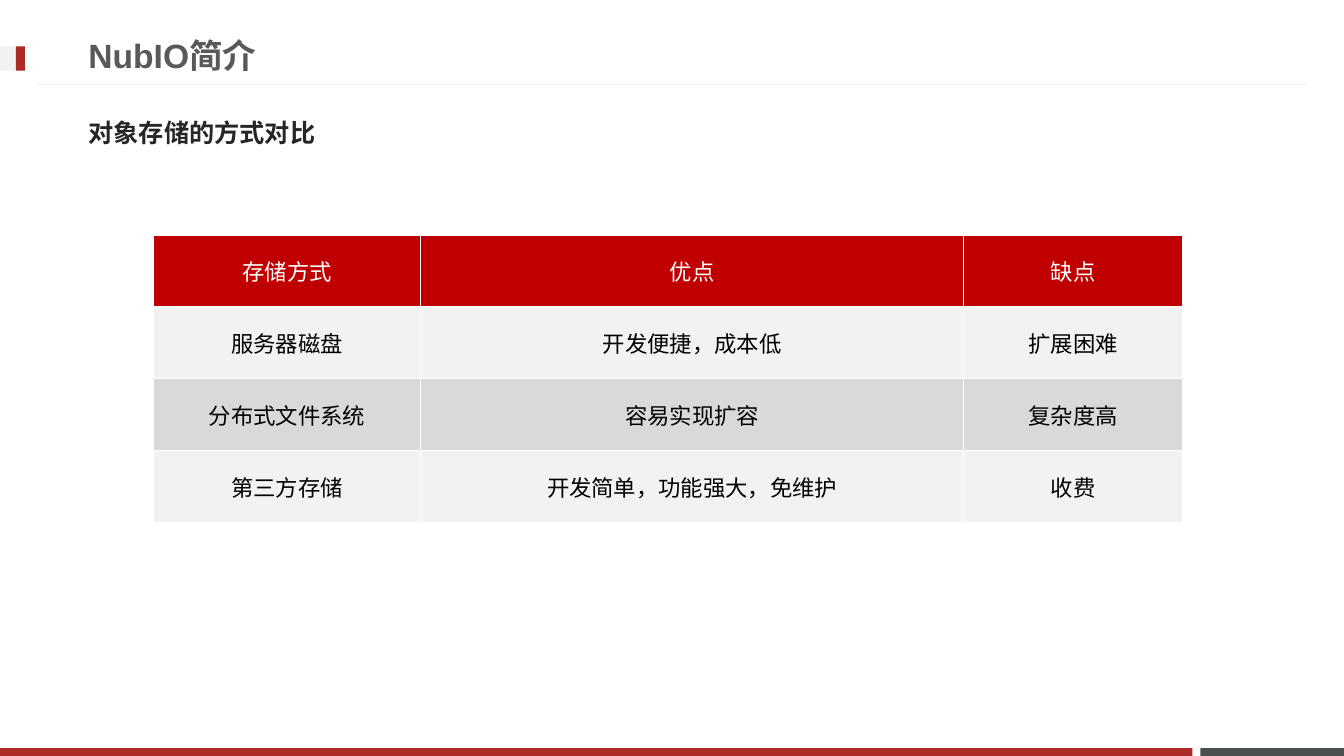
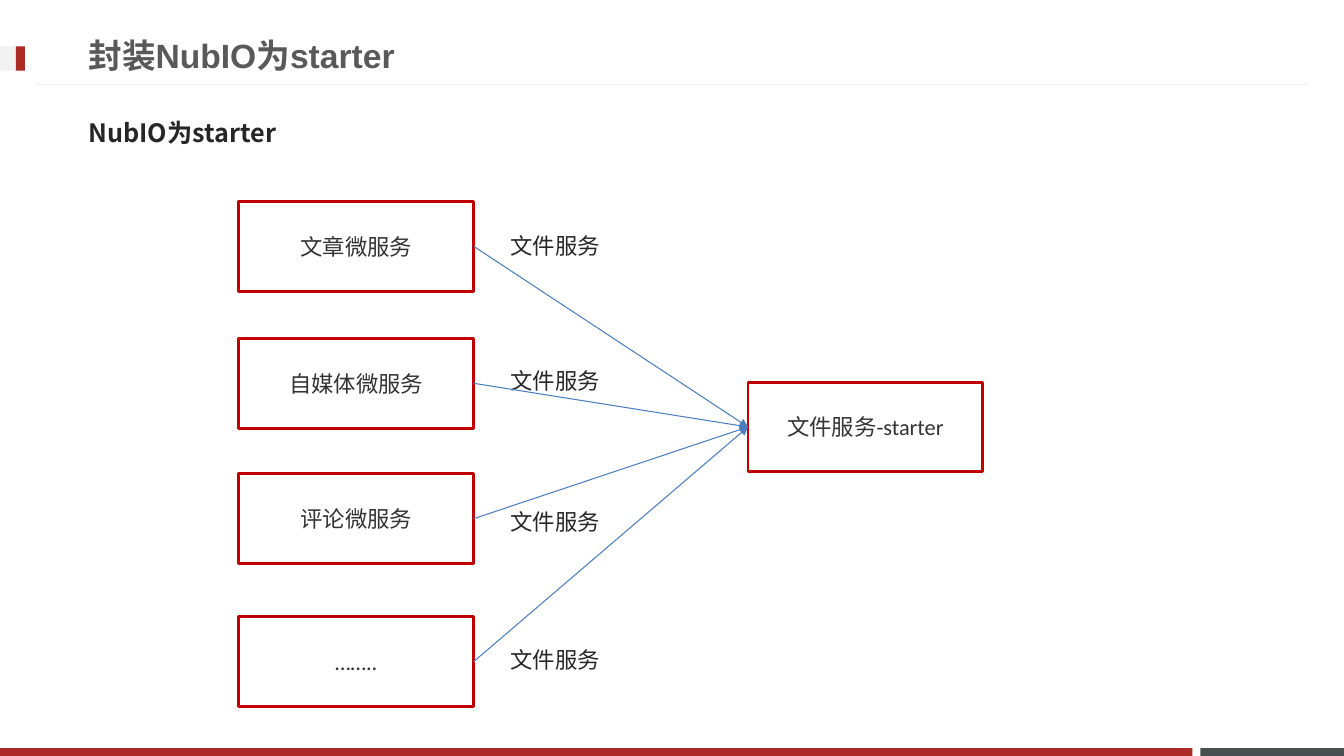
from lxml.etree import SubElement
from pptx import Presentation
from pptx.dml.color import RGBColor
from pptx.enum.lang import MSO_LANGUAGE_ID
from pptx.enum.shapes import MSO_CONNECTOR, MSO_SHAPE
from pptx.enum.text import MSO_ANCHOR, PP_ALIGN
from pptx.oxml.ns import qn
from pptx.util import Cm, Pt

WHITE, BLACK = "FFFFFF", "000000"
PALE, GREY, SLATE = "F2F2F2", "D9D9D9", "49504F"
BRICK, RED, BLUE = "AD2B26", "C00000", "4B7EBC"
TITLE_INK, BODY_INK, BOX_INK = "595959", "262626", "333333"
HAN_FONT = "Noto Sans CJK JP"
LEFT, RIGHT_SITE, LEFT_SITE = 1.98, 3, 1


def colour(hex_code):
    """Turn a hex string into a colour."""
    return RGBColor.from_string(hex_code)


def lengths(*values):
    """Turn numbers into centimetre lengths."""
    return [Cm(value) for value in values]


def add_run(paragraph, text, size, font, ink, bold=False):
    """Add one run, with the Han font for its Chinese characters."""
    run = paragraph.add_run()
    run.text = text
    run.font.size = Pt(size)
    run.font.name = font
    run.font.bold = bold
    run.font.color.rgb = colour(ink)
    run.font.language_id = MSO_LANGUAGE_ID.SIMPLIFIED_CHINESE
    SubElement(run.font._element, qn("a:ea"), typeface=HAN_FONT)


def add_text(slide, text, area, size, font, ink, bold=False,
             anchor=MSO_ANCHOR.MIDDLE, before=0, spacing=1.0):
    """Add a wrapping text box with one paragraph."""
    frame = slide.shapes.add_textbox(*lengths(*area)).text_frame
    frame.word_wrap = True
    frame.vertical_anchor = anchor
    paragraph = frame.paragraphs[0]
    paragraph.space_before = Pt(before)
    paragraph.line_spacing = spacing
    add_run(paragraph, text, size, font, ink, bold)


def add_block(slide, area, fill):
    """Add a plain filled rectangle."""
    block = slide.shapes.add_shape(MSO_SHAPE.RECTANGLE, *lengths(*area))
    block.shadow.inherit = False
    block.fill.solid()
    block.fill.fore_color.rgb = colour(fill)
    block.line.fill.background()


def add_service(slide, text, left, top):
    """Add an outlined service box and return it."""
    service = slide.shapes.add_shape(
        MSO_SHAPE.RECTANGLE, *lengths(left, top, 5.92, 2.26))
    service.shadow.inherit = False
    service.fill.background()
    service.line.color.rgb = colour(RED)
    service.line.width = Pt(2)
    service.text_frame.word_wrap = True
    service.text_frame.vertical_anchor = MSO_ANCHOR.MIDDLE
    paragraph = service.text_frame.paragraphs[0]
    paragraph.alignment = PP_ALIGN.CENTER
    add_run(paragraph, text, 16, "Calibri", BOX_INK)
    return service


def add_line(slide, ends, ink):
    """Add a thin straight line and return it."""
    line = slide.shapes.add_connector(MSO_CONNECTOR.STRAIGHT, *lengths(*ends))
    line.line.color.rgb = colour(ink)
    line.line.width = Pt(0.75)
    SubElement(line._element.spPr, qn("a:effectLst"))
    return line


def add_arrow(slide, source, target):
    """Join the right side of one box to the left side of another."""
    arrow = add_line(slide, (0, 0, 1, 1), BLUE)
    arrow.begin_connect(source, RIGHT_SITE)
    arrow.end_connect(target, LEFT_SITE)
    SubElement(arrow.line._get_or_add_ln(), qn("a:tailEnd"), type="triangle")


def style_cell(cell, text, fill, ink):
    """Fill, border and write one table cell."""
    properties = cell._tc.get_or_add_tcPr()
    for side in ("lnL", "lnR", "lnT", "lnB"):
        border = SubElement(properties, qn(f"a:{side}"), w=str(Pt(1)))
        paint = SubElement(border, qn("a:solidFill"))
        SubElement(paint, qn("a:srgbClr"), val=WHITE)
    cell.fill.solid()
    cell.fill.fore_color.rgb = colour(fill)
    cell.margin_left = cell.margin_right = 0
    cell.margin_top = cell.margin_bottom = 0
    cell.vertical_anchor = MSO_ANCHOR.MIDDLE
    paragraph = cell.text_frame.paragraphs[0]
    paragraph.alignment = PP_ALIGN.CENTER
    add_run(paragraph, text, 16, "Calibri", ink)


def add_comparison(slide, rows, left, top, widths, row_height):
    """Add a table with a red header and alternating grey rows."""
    table = slide.shapes.add_table(
        len(rows), len(widths),
        *lengths(left, top, sum(widths), row_height * len(rows))).table
    table.first_row = table.horz_banding = False
    for column, width in zip(table.columns, widths):
        column.width = Cm(width)
    for index, texts in enumerate(rows):
        table.rows[index].height = Cm(row_height)
        if index == 0:
            fill, ink = RED, WHITE
        else:
            fill, ink = (PALE if index % 2 else GREY), BLACK
        for column, text in enumerate(texts):
            style_cell(table.cell(index, column), text, fill, ink)


def add_page(deck, title, subtitle):
    """Add a slide with the shared bands, rule and headings."""
    slide = deck.slides.add_slide(deck.slide_layouts[6])
    add_block(slide, (30.25, 18.85, 3.62, 0.2), SLATE)
    add_block(slide, (0, 18.85, 30.05, 0.2), BRICK)
    add_line(slide, (32.97, 2.13, 0.9, 2.13), PALE)
    add_block(slide, (0, 1.17, 0.63, 0.61), PALE)
    add_block(slide, (0.4, 1.17, 0.23, 0.61), BRICK)
    add_text(slide, title, (LEFT, 0.66, 24.36, 1.45),
             24, "Arial", TITLE_INK, bold=True)
    add_text(slide, subtitle, (LEFT, 2.62, 29.72, 1.45),
             18, HAN_FONT, BODY_INK, bold=True, before=3.6)
    return slide


def build_comparison(deck):
    """Build the slide that compares ways of storing objects."""
    slide = add_page(deck, "NubIO简介", "对象存储的方式对比")
    rows = [
        ("存储方式", "优点", "缺点"),
        ("服务器磁盘", "开发便捷，成本低", "扩展困难"),
        ("分布式文件系统", "容易实现扩容", "复杂度高"),
        ("第三方存储", "开发简单，功能强大，免维护", "收费"),
    ]
    add_comparison(slide, rows, 3.87, 5.92, (6.73, 13.69, 5.51), 1.81)


def build_starter(deck):
    """Build the slide where every service uses the starter."""
    slide = add_page(deck, "封装NubIO为starter", "NubIO为starter")
    starter = add_service(slide, "文件服务-starter", 18.85, 9.63)
    clients = [
        ("文章微服务", 5.08, 5.38),
        ("自媒体微服务", 8.53, 8.79),
        ("评论微服务", 11.94, 12.34),
        ("……..", 15.54, 15.82),
    ]
    services = []
    for name, top, label_top in clients:
        services.append(add_service(slide, name, 6.02, top))
        add_text(slide, "文件服务", (12.62, label_top, 3.66, 1.68),
                 16, HAN_FONT, BODY_INK, anchor=MSO_ANCHOR.TOP,
                 before=3.2, spacing=1.5)
    for service in services:
        add_arrow(slide, service, starter)


def main():
    """Build and save the presentation."""
    deck = Presentation()
    deck.slide_width, deck.slide_height = lengths(33.87, 19.05)
    build_comparison(deck)
    build_starter(deck)
    deck.save("out.pptx")


main()
